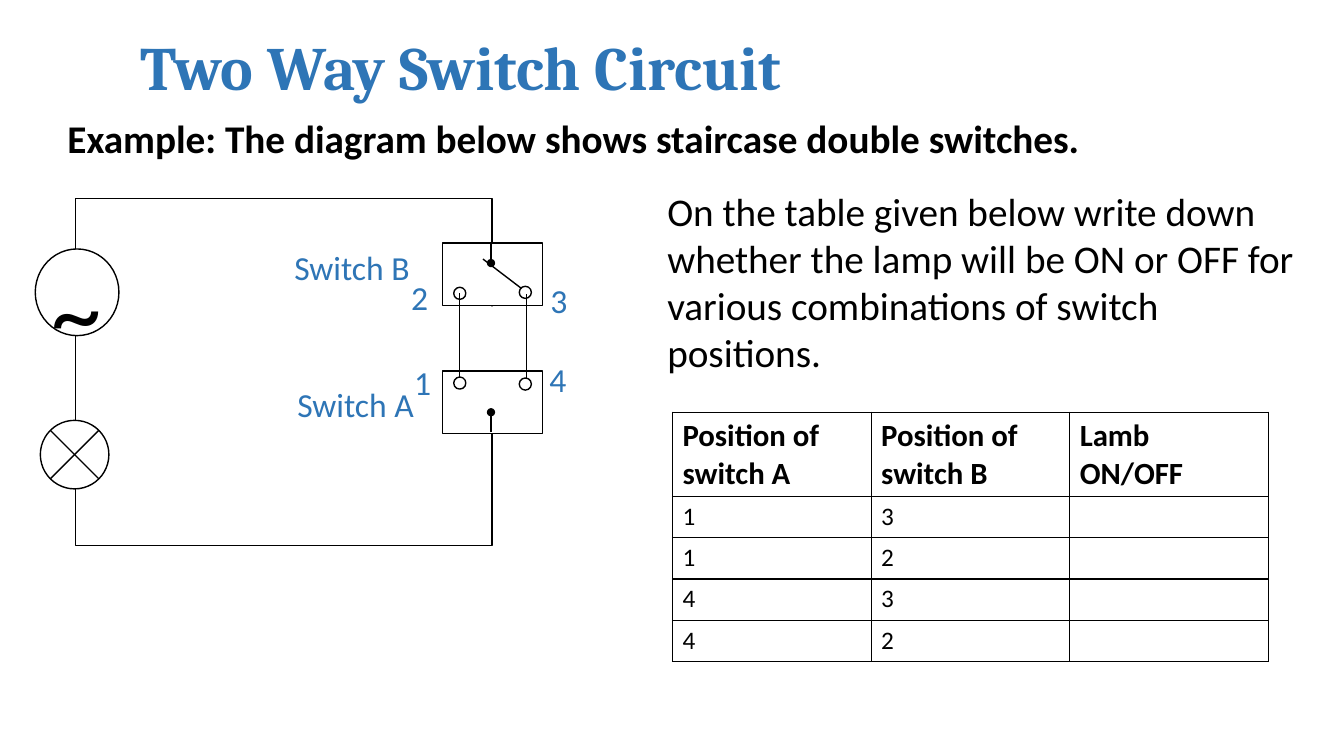
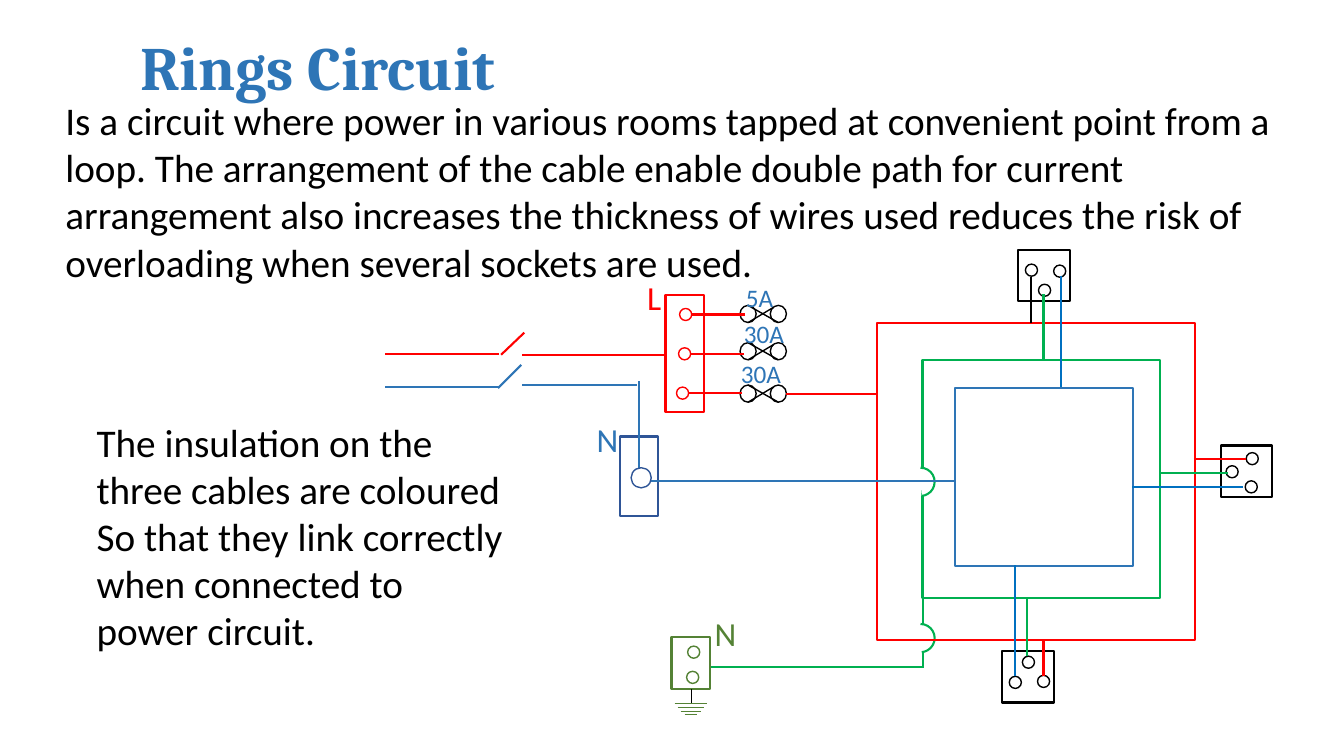
"""Build two slides on house wiring: the two way switch and the ring circuit."""
from lxml import etree
from pptx import Presentation
from pptx import util as u
from pptx.dml.color import RGBColor
from pptx.enum import shapes, text
from pptx.oxml.ns import qn

PX = 9144
BLACK, WHITE, RED, GREEN = "000000", "FFFFFF", "FF0000", "00B050"
BLUE, WIRE_BLUE, NAVY, EARTH = "2E75B6", "0070C0", "2F5597", "548235"
KIND = shapes.MSO_SHAPE
PIN = 12

SWITCH_TITLE = "Two Way Switch Circuit"
SWITCH_TEXTS = [
    ((57, 108, 1221, 89), "Example: The diagram below shows staircase double switches.", True),
    ((652, 181, 644, 206), "On the table given below write down whether the lamp will be ON or OFF "
     "for various combinations of switch positions.", False),
]
SWITCH_BOXES = [(439, 241, 99, 62), (439, 368, 99, 62)]
SWITCH_PINS = [(450, 285), (515, 284), (450, 374), (515, 375)]
SWITCH_POLES = [(487, 241, 487, 261), (487, 429, 487, 409)]
SWITCH_WIRES = [(456, 291, 456, 374), (479, 257, 517, 286), (522, 292, 522, 375)]
SWITCH_LABELS = [
    ((401, 354, 40, 50), "1"), ((398, 270, 40, 50), "2"),
    ((536, 273, 40, 50), "3"), ((535, 351, 40, 50), "4"),
    ((285, 376, 139, 50), "Switch A"), ((282, 240, 135, 50), "Switch B"),
]
TABLE_AT = (667, 409)
COLUMN, HEAD_ROW, ROW = 197, 83, 41
TABLE = [
    ("Position of switch A", "Position of switch B", "Lamb ON/OFF"),
    ("1", "3", ""), ("1", "2", ""), ("4", "3", ""), ("4", "2", ""),
]

RING_TITLE = "Rings Circuit"
RING_TEXTS = [
    ((55, 91, 1221, 216), "Is a circuit where power in various rooms tapped at convenient point from "
     "a loop. The arrangement of the cable enable double path for current arrangement also increases "
     "the thickness of wires used reduces the risk of overloading when several sockets are used.", False),
    ((86, 410, 423, 320), "The insulation on the three cables are coloured\n"
     "So that they link correctly when connected to power circuit.", False),
]
RING_BOXES = [
    ((660, 293, 38, 116), RED), ((615, 433, 38, 79), NAVY), ((666, 632, 38, 52), EARTH),
    ((870, 320, 315, 315), RED), ((915, 357, 236, 236), GREEN), ((947, 385, 177, 177), BLUE),
]
FUSE_TOPS = [303, 340, 382]
LIVE_PINS = [(674, 306), (673, 345), (671, 384)]
EARTH_PINS = [(682, 641), (681, 666)]
EARTH_BARS = [(698, 32), (702, 26), (706, 20), (709, 12)]
EARTH_CENTRE = 685
SOCKET = 51
SOCKET_PINS = [(7, 14), (35, 15), (20, 34)]
SOCKETS = [
    ((1010, 248), lambda x, y: (x, y)),
    ((1211, 442), lambda x, y: (SOCKET - PIN - y, x)),
    ((994, 646), lambda x, y: (x, SOCKET - PIN - y)),
]
EARTH_RISER = (915, 593, 915, 663)
BRIDGES = [(899, 464, 28, 28), (899, 619, 28, 28)]
RING_WIRES = {
    RED: [(1035, 635, 1035, 671), (1184, 455, 1236, 455), (660, 352, 518, 352),
          (495, 351, 382, 351), (520, 330, 497, 352), (870, 391, 780, 391)],
    GREEN: [(1035, 292, 1035, 357), (1019, 593, 1019, 651), (1152, 469, 1218, 469),
            (915, 662, 705, 662)],
    BLUE: [(632, 382, 518, 382), (634, 378, 634, 464), (947, 477, 645, 477),
           (495, 384, 382, 384), (517, 362, 494, 385)],
    WIRE_BLUE: [(1052, 274, 1052, 384), (1007, 561, 1007, 671), (1123, 483, 1233, 483)],
    BLACK: [(1023, 275, 1023, 320)],
}
RING_LABELS = [
    ((730, 275, 65, 40), "5A", 18, BLUE), ((728, 311, 65, 40), "30A", 18, BLUE),
    ((725, 351, 65, 40), "30A", 18, BLUE), ((632, 270, 40, 50), "L", 24, RED),
    ((582, 411, 40, 50), "N", 24, BLUE), ((699, 603, 40, 50), "N", 24, EARTH),
]


def px(*values):
    return [u.Emu(v * PX) for v in values]


def rgb(value):
    return RGBColor.from_string(value)


def write(tf, content, size=28, color=BLACK, font="Calibri", bold=False, spacing=None,
          anchor=text.MSO_ANCHOR.TOP, align=text.PP_ALIGN.LEFT):
    tf.word_wrap = True
    tf.vertical_anchor = anchor
    for i, line in enumerate(content.split("\n")):
        p = tf.add_paragraph() if i else tf.paragraphs[0]
        p.alignment = align
        if spacing:
            p.line_spacing = spacing
        r = p.add_run()
        r.text = line
        r.font.name, r.font.size, r.font.bold = font, u.Pt(size), bold
        r.font.color.rgb = rgb(color)


def label(s, box, content, **style):
    write(s.shapes.add_textbox(*px(*box)).text_frame, content, **style)


def shape(s, kind, box, line=BLACK, width=1, fill=None):
    sp = s.shapes.add_shape(kind, *px(*box))
    sp.shadow.inherit = False
    if fill:
        sp.fill.solid()
        sp.fill.fore_color.rgb = rgb(fill)
    else:
        sp.fill.background()
    if line:
        sp.line.color.rgb = rgb(line)
        sp.line.width = u.Pt(width)
    else:
        sp.line.fill.background()
    return sp


def pin(s, x, y, color=BLACK, size=PIN):
    shape(s, KIND.OVAL, (x, y, size, size), color)


def wire(s, ends, color=BLACK, width=1, dot=False):
    c = s.shapes.add_connector(shapes.MSO_CONNECTOR.STRAIGHT, *px(*ends))
    c.line.color.rgb = rgb(color)
    c.line.width = u.Pt(width)
    if dot:
        etree.SubElement(c.line._get_or_add_ln(), qn("a:tailEnd"), type="oval")
    etree.SubElement(c._element.spPr, qn("a:effectLst"))


def border(cell):
    tc_pr = cell._tc.get_or_add_tcPr()
    for side in ("L", "R", "T", "B"):
        ln = etree.SubElement(tc_pr, qn(f"a:ln{side}"), w=str(u.Pt(1)))
        fill = etree.SubElement(ln, qn("a:solidFill"))
        etree.SubElement(fill, qn("a:srgbClr"), val=BLACK)


def new_slide(prs, title, texts):
    s = prs.slides.add_slide(prs.slide_layouts[6])
    label(s, (129, 12, 1118, 117), title, size=44, color=BLUE, font="Cambria", bold=True,
          spacing=0.9, anchor=text.MSO_ANCHOR.MIDDLE)
    for box, content, bold in texts:
        label(s, box, content, bold=bold)
    return s


def position_table(s):
    size = (COLUMN * len(TABLE[0]), HEAD_ROW + ROW * (len(TABLE) - 1))
    table = s.shapes.add_table(len(TABLE), len(TABLE[0]), *px(*TABLE_AT, *size)).table
    table.first_row = table.horz_banding = False
    for column in table.columns:
        column.width = u.Emu(COLUMN * PX)
    for i, values in enumerate(TABLE):
        table.rows[i].height = u.Emu((ROW if i else HEAD_ROW) * PX)
        for j, value in enumerate(values):
            cell = table.cell(i, j)
            border(cell)
            cell.fill.background()
            if value:
                write(cell.text_frame, value, size=18 if i else 22, bold=not i)


def switch_slide(prs):
    s = new_slide(prs, SWITCH_TITLE, SWITCH_TEXTS)
    shape(s, KIND.RECTANGLE, (75, 197, 413, 344))
    source = shape(s, KIND.OVAL, (35, 247, 83, 86), fill=WHITE)
    tf = source.text_frame
    tf.margin_left = tf.margin_right = tf.margin_bottom = 0
    tf.margin_top = u.Emu(31 * PX)
    write(tf, "~", size=72, anchor=text.MSO_ANCHOR.MIDDLE, align=text.PP_ALIGN.CENTER)
    shape(s, KIND.FLOWCHART_SUMMING_JUNCTION, (40, 417, 68, 68), fill=WHITE)
    for box in SWITCH_BOXES:
        shape(s, KIND.RECTANGLE, box, fill=WHITE)
    shape(s, KIND.RECTANGLE, (451, 304, 70, 63), line=None, fill=WHITE)
    for ends in SWITCH_POLES:
        wire(s, ends, dot=True)
    for x, y in SWITCH_PINS:
        pin(s, x, y)
    for ends in SWITCH_WIRES:
        wire(s, ends)
    for box, content in SWITCH_LABELS:
        label(s, box, content, size=24, color=BLUE)
    position_table(s)


def fuse(s, top):
    for x in (734, 764):
        shape(s, KIND.OVAL, (x, top, 16, 17))
    wire(s, (742, top, 772, top + 17))
    wire(s, (742, top + 17, 767, top + 2))


def socket(s, x, y, turn):
    shape(s, KIND.RECTANGLE, (x, y, SOCKET, SOCKET), width=1.5)
    for offset in SOCKET_PINS:
        dx, dy = turn(*offset)
        pin(s, x + dx, y + dy)


def ring_slide(prs):
    s = new_slide(prs, RING_TITLE, RING_TEXTS)
    wire(s, EARTH_RISER, GREEN, 1.5)
    for box, color in RING_BOXES[:3] + RING_BOXES[4:]:
        shape(s, KIND.RECTANGLE, box, color, 1.5)
    for box in BRIDGES:
        arc = shape(s, KIND.ARC, box, GREEN, 1.5, WHITE)
        arc.adjustments[0], arc.adjustments[1] = 162, 51.03
    shape(s, KIND.RECTANGLE, *RING_BOXES[3], 1.5)
    for top in FUSE_TOPS:
        fuse(s, top)
    for x, y in LIVE_PINS:
        wire(s, (x + 65, y + 6, x + PIN, y + 6), RED, 1.5)
        pin(s, x, y, RED)
    for origin, turn in SOCKETS:
        socket(s, *origin, turn)
    for color, wires in RING_WIRES.items():
        for ends in wires:
            wire(s, ends, color, 1.5)
    pin(s, 626, 464, NAVY, 20)
    for x, y in EARTH_PINS:
        pin(s, x, y, EARTH)
    wire(s, (EARTH_CENTRE + 1, 684, EARTH_CENTRE + 1, 697))
    for y, width in EARTH_BARS:
        wire(s, (EARTH_CENTRE - width // 2, y, EARTH_CENTRE + width // 2, y), EARTH)
    for box, content, size, color in RING_LABELS:
        label(s, box, content, size=size, color=color)


def main():
    prs = Presentation()
    prs.slide_width, prs.slide_height = px(1333, 750)
    switch_slide(prs)
    ring_slide(prs)
    prs.save("out.pptx")


if __name__ == "__main__":
    main()
